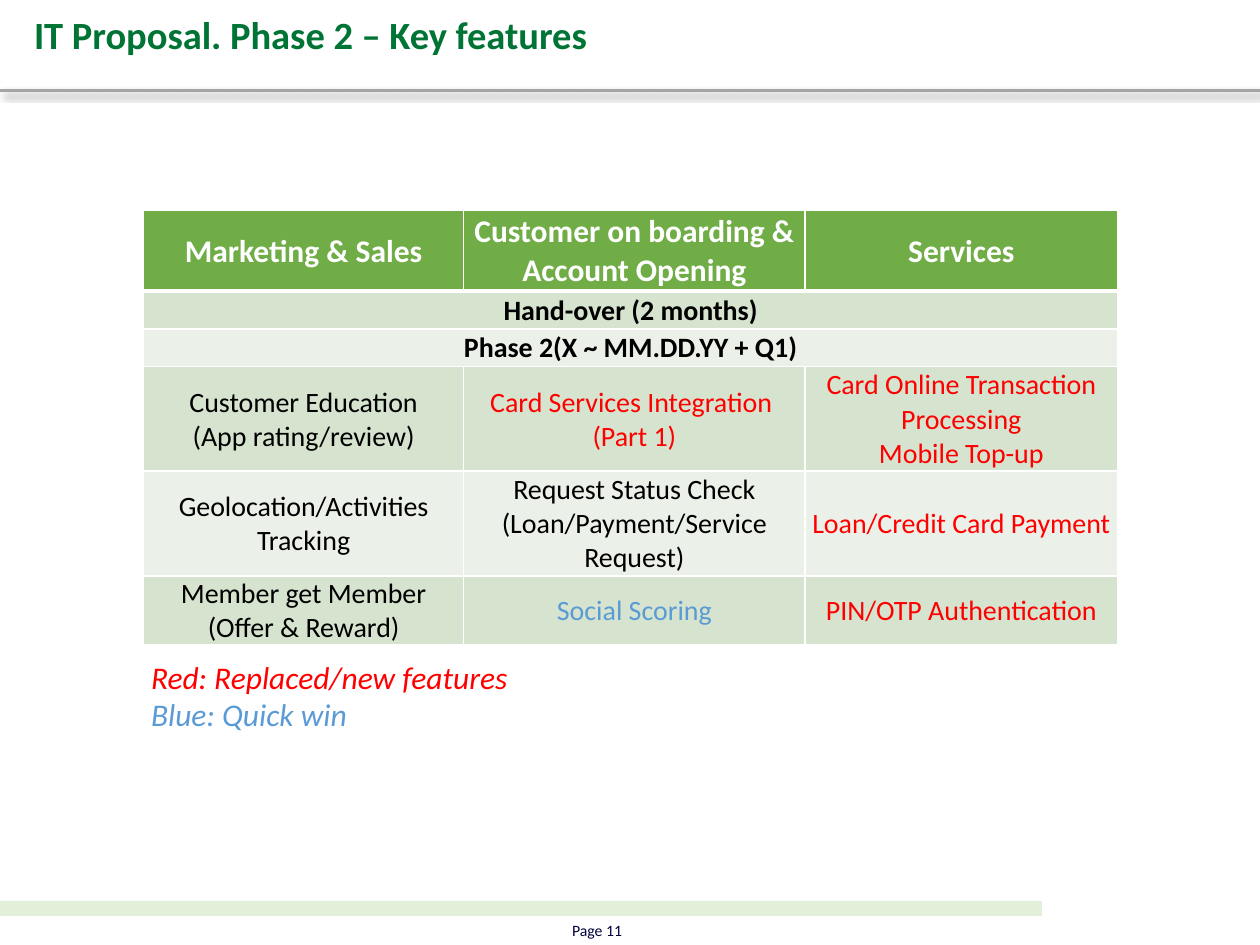
import dataclasses

import lxml.etree
import pptx
import pptx.dml.color
import pptx.enum.shapes
import pptx.enum.text
import pptx.oxml.ns
import pptx.util

Inches = pptx.util.Inches
Pt = pptx.util.Pt
qn = pptx.oxml.ns.qn
ALIGN = pptx.enum.text.PP_ALIGN
MIDDLE = pptx.enum.text.MSO_ANCHOR.MIDDLE


@dataclasses.dataclass(frozen=True)
class Theme:
    font: str = "Calibri"
    title: str = "007434"
    header: str = "70AD47"
    bands: tuple = ("D5E3CF", "EBF1E9")
    footer: str = "E2F0D9"
    rule: str = "A5A5A5"
    page: str = "00003C"
    white: str = "FFFFFF"
    black: str = "000000"
    replaced: str = "FF0000"
    quick_win: str = "5B9BD5"
    title_size: int = 22
    large_size: int = 18
    body_size: int = 16
    page_size: int = 9


THEME = Theme()
COLUMNS = (2.54, 2.71, 2.48)
ROWS = (0.64, 0.3, 0.3, 0.83, 0.83, 0.55)
HEADINGS = ("Marketing & Sales", "Customer on boarding & Account Opening", "Services")
STAGES = (("Hand-over (2 months)",), ("Phase 2", "(X ~ MM.DD.YY + Q1)"))
FEATURES = (
    (
        (("Customer Education", "(App rating/review)"), THEME.black),
        (("Card Services Integration ", "(Part 1)"), THEME.replaced),
        (("Card Online Transaction Processing", "Mobile Top-up"), THEME.replaced),
    ),
    (
        (("Geolocation/Activities Tracking",), THEME.black),
        (("Request Status Check (Loan/Payment/Service Request)",), THEME.black),
        (("Loan/Credit Card Payment",), THEME.replaced),
    ),
    (
        (("Member get Member", "(Offer & Reward)"), THEME.black),
        (("Social Scoring",), THEME.quick_win),
        (("PIN/OTP Authentication",), THEME.replaced),
    ),
)


def rgb(color):
    return pptx.dml.color.RGBColor.from_string(color)


def add_run(paragraph, text, size, color, bold=False, italic=False):
    run = paragraph.add_run()
    run.text = text
    run.font.name = THEME.font
    run.font.size = Pt(size)
    run.font.bold = bold
    run.font.italic = italic
    run.font.color.rgb = rgb(color)


def next_paragraph(frame, index):
    return frame.add_paragraph() if index else frame.paragraphs[0]


def add_color(parent, color, alpha=None):
    value = lxml.etree.SubElement(parent, qn("a:srgbClr"), val=color)
    if alpha:
        lxml.etree.SubElement(value, qn("a:alpha"), val=str(alpha * 1000))


def add_footer_bar(slide):
    bar = slide.shapes.add_shape(
        pptx.enum.shapes.MSO_SHAPE.RECTANGLE, 0, Inches(7.15), Inches(8.27), Inches(0.12))
    bar.shadow.inherit = False
    bar.fill.solid()
    bar.fill.fore_color.rgb = rgb(THEME.footer)
    bar.line.fill.background()


def format_title(slide, text):
    title = slide.shapes.title
    title.left, title.top, title.width, title.height = map(Inches, (0.17, 0.08, 8.62, 0.43))
    frame = title.text_frame
    frame.auto_size = pptx.enum.text.MSO_AUTO_SIZE.NONE
    frame.vertical_anchor = MIDDLE
    paragraph = frame.paragraphs[0]
    paragraph.alignment = ALIGN.LEFT
    paragraph.line_spacing = 0.9
    add_run(paragraph, text, THEME.title_size, THEME.title, bold=True)


def add_header_rule(slide, width):
    rule = slide.shapes.add_connector(
        pptx.enum.shapes.MSO_CONNECTOR.STRAIGHT, 0, Inches(0.72), width, Inches(0.72))
    rule.line.color.rgb = rgb(THEME.rule)
    rule.line.width = Pt(1.5)
    effects = lxml.etree.SubElement(rule._element.spPr, qn("a:effectLst"))
    shadow = lxml.etree.SubElement(
        effects, qn("a:outerShdw"), blurRad=str(Pt(4)), dist=str(Pt(3)),
        dir=str(45 * 60000), algn="tl", rotWithShape="0")
    add_color(shadow, THEME.black, alpha=40)


def add_page_label(slide, text):
    label = slide.shapes.add_textbox(*map(Inches, (4.5, 7.26, 0.55, 0.24)))
    frame = label.text_frame
    frame.margin_left = frame.margin_right = Inches(0.04)
    frame.margin_top = frame.margin_bottom = 0
    frame.vertical_anchor = MIDDLE
    add_run(frame.paragraphs[0], text, THEME.page_size, THEME.page)


def format_cell(cell, fill, top=1, bottom=1):
    cell.margin_left = cell.margin_right = cell.margin_top = Inches(0.01)
    cell.margin_bottom = 0
    cell.vertical_anchor = MIDDLE
    properties = cell._tc.get_or_add_tcPr()
    for side, width in zip("LRTB", (1, 1, top, bottom)):
        border = lxml.etree.SubElement(properties, qn(f"a:ln{side}"), w=str(Pt(width)))
        add_color(lxml.etree.SubElement(border, qn("a:solidFill")), THEME.white)
    cell.fill.solid()
    cell.fill.fore_color.rgb = rgb(fill)


def write_cell(cell, paragraphs, size, color, bold=False):
    for index, runs in enumerate(paragraphs):
        paragraph = next_paragraph(cell.text_frame, index)
        paragraph.alignment = ALIGN.CENTER
        for text in runs:
            add_run(paragraph, text, size, color, bold)


def add_feature_table(slide):
    table = slide.shapes.add_table(
        len(ROWS), len(COLUMNS), Inches(1.14), Inches(1.67),
        Inches(sum(COLUMNS)), Inches(sum(ROWS))).table
    for column, width in zip(table.columns, COLUMNS):
        column.width = Inches(width)
    for index, height in enumerate(ROWS):
        table.rows[index].height = Inches(height)
        fill = THEME.bands[(index - 1) % 2] if index else THEME.header
        for cell in table.rows[index].cells:
            format_cell(cell, fill, top=3 if index == 1 else 1, bottom=1 if index else 3)
    for column, heading in enumerate(HEADINGS):
        write_cell(table.cell(0, column), [[heading]], THEME.large_size, THEME.white, bold=True)
    for row, runs in enumerate(STAGES, 1):
        stage = table.cell(row, 0)
        stage.merge(table.cell(row, len(COLUMNS) - 1))
        write_cell(stage, [runs], THEME.body_size, THEME.black, bold=True)
    for row, features in enumerate(FEATURES, 1 + len(STAGES)):
        for column, (lines, color) in enumerate(features):
            write_cell(table.cell(row, column), [[line] for line in lines],
                       THEME.body_size, color)


def add_legend(slide, entries):
    legend = slide.shapes.add_textbox(*map(Inches, (1.1, 5.17, 3.09, 0.71)))
    frame = legend.text_frame
    frame.word_wrap = False
    frame.auto_size = pptx.enum.text.MSO_AUTO_SIZE.SHAPE_TO_FIT_TEXT
    for index, (text, color) in enumerate(entries):
        add_run(next_paragraph(frame, index), text, THEME.large_size, color, italic=True)


def main():
    deck = pptx.Presentation()
    deck.slide_width, deck.slide_height = Inches(10), Inches(7.5)
    slide = deck.slides.add_slide(deck.slide_layouts.get_by_name("Title Only"))
    add_footer_bar(slide)
    format_title(slide, "IT Proposal. Phase 2 – Key features")
    add_header_rule(slide, deck.slide_width)
    add_page_label(slide, "Page 11")
    add_feature_table(slide)
    add_legend(slide, (("Red: Replaced/new features", THEME.replaced),
                       ("Blue: Quick win", THEME.quick_win)))
    deck.save("out.pptx")


if __name__ == "__main__":
    main()
